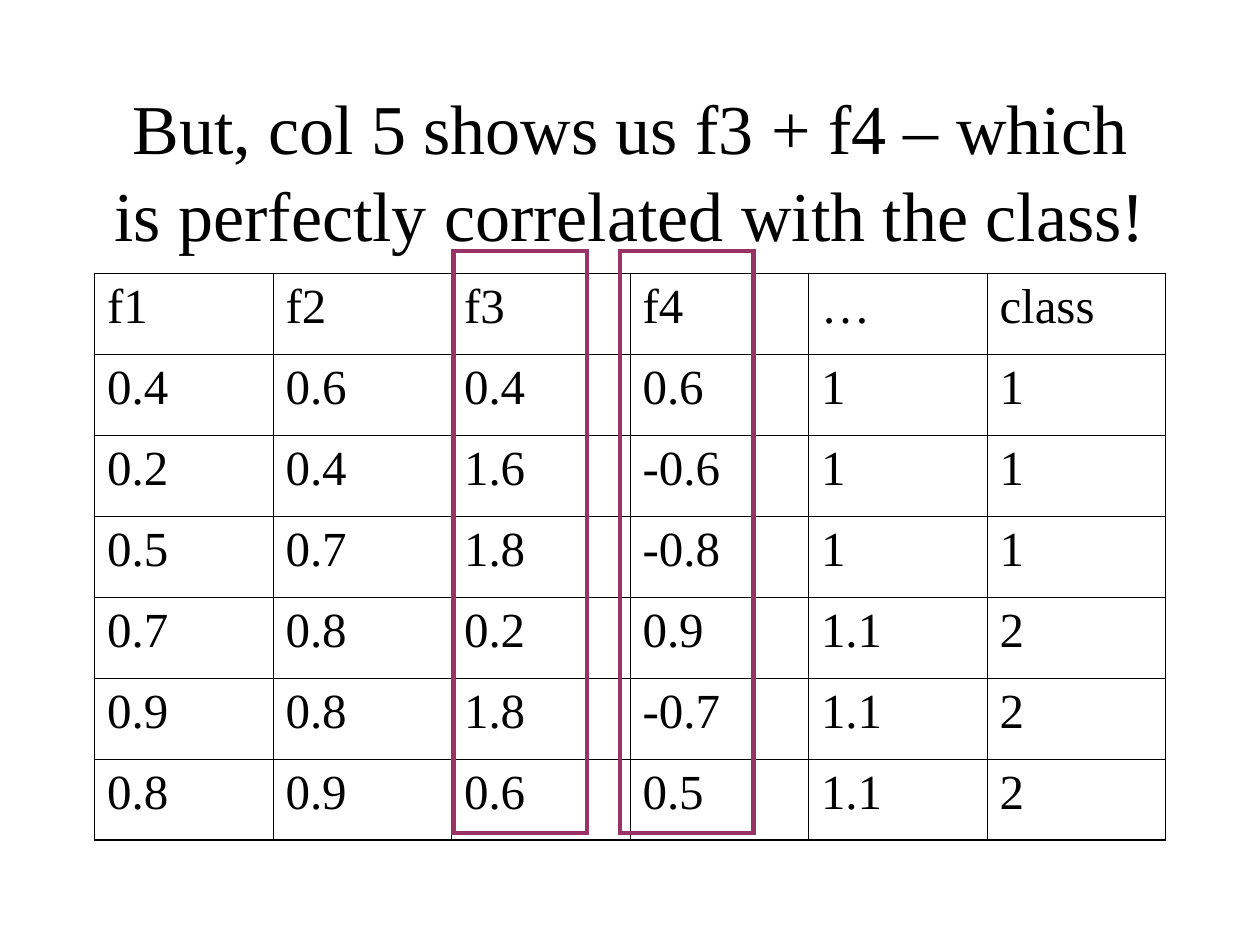
from lxml.etree import SubElement
from pptx import Presentation
from pptx.dml.color import RGBColor
from pptx.enum.shapes import MSO_SHAPE
from pptx.enum.text import MSO_ANCHOR, PP_ALIGN
from pptx.oxml.ns import qn
from pptx.util import Inches, Pt

COLORS = {"ink": "000000", "highlight": "993366"}
FONT = "Times New Roman"
SLIDE_WIDTH, SLIDE_HEIGHT = Inches(10), Inches(7.5)
MARGIN = Inches(0.75)
CONTENT_WIDTH = SLIDE_WIDTH - 2 * MARGIN
TABLE_TOP, TABLE_HEIGHT = Inches(2.17), Inches(4.5)
OUTER_LINE, INNER_LINE = Pt(1.08), Pt(0.45)

TITLE = "But, col 5 shows us f3 + f4 – which is perfectly correlated with the class!"
SAMPLES = [
    ["f1", "f2", "f3", "f4", "…", "class"],
    ["0.4", "0.6", "0.4", "0.6", "1", "1"],
    ["0.2", "0.4", "1.6", "-0.6", "1", "1"],
    ["0.5", "0.7", "1.8", "-0.8", "1", "1"],
    ["0.7", "0.8", "0.2", "0.9", "1.1", "2"],
    ["0.9", "0.8", "1.8", "-0.7", "1.1", "2"],
    ["0.8", "0.9", "0.6", "0.5", "1.1", "2"],
]
HIGHLIGHT_LEFTS = {"f3": 3.6, "f4": 4.92}


def style_font(paragraph, size):
    paragraph.font.name = FONT
    paragraph.font.size = Pt(size)
    paragraph.font.color.rgb = RGBColor.from_string(COLORS["ink"])


def add_title(slide):
    title = slide.shapes.add_textbox(MARGIN, Inches(0.67), CONTENT_WIDTH, Inches(1.25))
    frame = title.text_frame
    frame.word_wrap = True
    frame.vertical_anchor = MSO_ANCHOR.MIDDLE
    frame.margin_top, frame.margin_bottom = Inches(0.08), 0
    heading = frame.paragraphs[0]
    heading.text = TITLE
    heading.alignment = PP_ALIGN.CENTER
    heading.line_spacing = 1.04
    style_font(heading, 40)


def set_borders(cell, widths):
    """Draw the cell's sides; widths go left, right, top, bottom."""
    properties = cell._tc.get_or_add_tcPr()
    for side, width in zip(("lnL", "lnR", "lnT", "lnB"), widths):
        line = SubElement(properties, qn(f"a:{side}"), w=str(int(width)))
        fill = SubElement(line, qn("a:solidFill"))
        SubElement(fill, qn("a:srgbClr"), val=COLORS["ink"])


def add_samples_table(slide):
    rows, columns = len(SAMPLES), len(SAMPLES[0])
    table = slide.shapes.add_table(
        rows, columns, MARGIN, TABLE_TOP, CONTENT_WIDTH, TABLE_HEIGHT
    ).table
    table.first_row = table.horz_banding = False
    for row, values in enumerate(SAMPLES):
        for column, value in enumerate(values):
            cell = table.cell(row, column)
            cell.text = value
            style_font(cell.text_frame.paragraphs[0], 28)
            on_edge = (column == 0, column == columns - 1, row == 0, row == rows - 1)
            set_borders(cell, [OUTER_LINE if edge else INNER_LINE for edge in on_edge])
            cell.fill.background()


def add_highlight(slide, left):
    highlight = slide.shapes.add_shape(
        MSO_SHAPE.RECTANGLE, Inches(left), Inches(1.99), Inches(1.06), Inches(4.62)
    )
    highlight.shadow.inherit = False
    highlight.fill.background()
    highlight.line.color.rgb = RGBColor.from_string(COLORS["highlight"])
    highlight.line.width = Pt(2.5)
    SubElement(highlight.line._get_or_add_ln(), qn("a:miter"), lim="800000")


def main():
    presentation = Presentation()
    presentation.slide_width, presentation.slide_height = SLIDE_WIDTH, SLIDE_HEIGHT
    slide = presentation.slides.add_slide(presentation.slide_layouts[6])
    add_title(slide)
    add_samples_table(slide)
    for left in HIGHLIGHT_LEFTS.values():
        add_highlight(slide, left)
    presentation.save("out.pptx")


if __name__ == "__main__":
    main()
